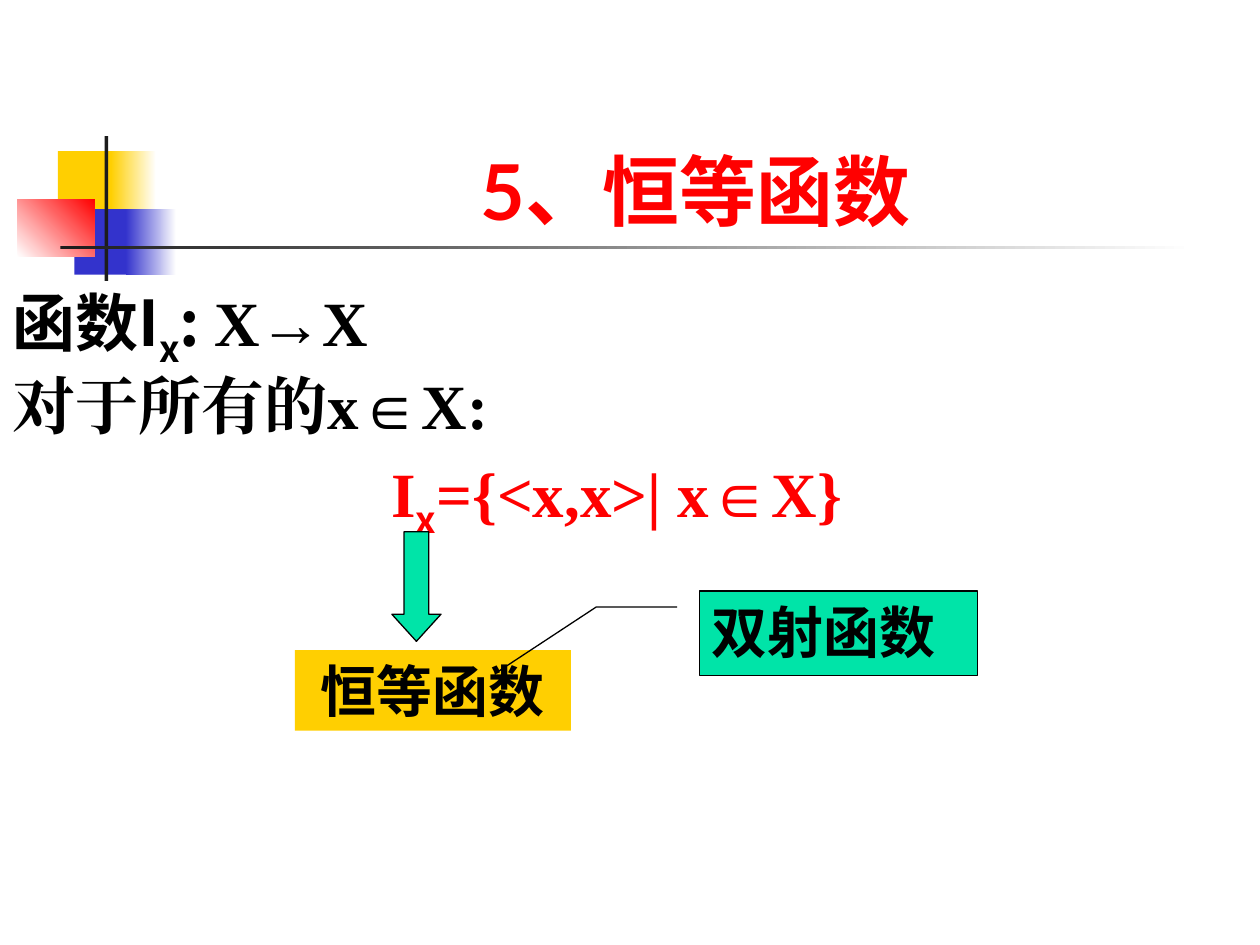
from dataclasses import dataclass
from typing import NamedTuple, Optional

from pptx import Presentation
from pptx.dml.color import RGBColor
from pptx.enum.shapes import MSO_SHAPE as Shape
from pptx.enum.text import MSO_ANCHOR as Anchor, MSO_AUTO_SIZE as AutoSize, PP_ALIGN as Align
from pptx.oxml.ns import qn
from pptx.util import Inches, Pt

COLUMNS, ROWS = 100, 75
CELL = Inches(0.1)


@dataclass(frozen=True)
class Theme:
    red: str = "FF0000"
    yellow: str = "FFCF01"
    blue: str = "3333CC"
    green: str = "00E4A8"
    ink: str = "1C1C1C"
    black: str = "000000"
    white: str = "FFFFFF"
    heading_font: str = "Lato"
    body_font: str = "Noto Sans CJK SC"
    math_font: str = "Times New Roman"
    title_size: int = 44
    body_size: int = 36
    label_size: int = 32


THEME = Theme()


class Area(NamedTuple):
    """Column, row, width and height in grid cells."""
    column: float
    row: float
    columns: float
    rows: float

    def lengths(self) -> list[int]:
        return [round(cells * CELL) for cells in self]


class Piece(NamedTuple):
    area: Area
    start: str
    end: Optional[str] = None
    angle: int = 0


class Run(NamedTuple):
    text: str
    font: str
    subscript: bool = False


class Line(NamedTuple):
    runs: list[Run]
    color: str = THEME.black
    align: Align = Align.LEFT


ORNAMENT = [
    Piece(Area(4.6, 12, 4.8, 5.2), THEME.yellow),
    Piece(Area(8.8, 12, 3.6, 5.2), THEME.yellow, THEME.white),
    Piece(Area(5.9, 16.6, 4.6, 5.2), THEME.blue),
    Piece(Area(10, 16.6, 4, 5.2), THEME.blue, THEME.white),
    Piece(Area(1.4, 15.8, 6.1, 4.6), THEME.white, THEME.red, angle=45),
    Piece(Area(8.3, 10.8, 0.3, 11.5), THEME.ink),
    Piece(Area(4.8, 19.5, 90, 0.3), THEME.ink, THEME.white),
]

TITLE = [Line([Run("5、恒等函数", THEME.heading_font)], THEME.red, Align.CENTER)]
DEFINITION = [
    Line([Run("函数I", THEME.body_font), Run("x", THEME.body_font, True),
          Run(": ", THEME.body_font), Run("X→X", THEME.math_font)]),
    Line([Run("对于所有的x∈X:", THEME.math_font)]),
    Line([Run("I", THEME.math_font), Run("x", THEME.body_font, True),
          Run("={<x,x>| x∈X}", THEME.math_font)], THEME.red, Align.CENTER),
]
IDENTITY = [Line([Run("恒等函数", THEME.heading_font)], align=Align.CENTER)]
BIJECTION = [Line([Run("双射函数", THEME.heading_font)])]


def rgb(color: str) -> RGBColor:
    return RGBColor.from_string(color)


def write(holder, lines: list[Line], *, size: int, anchor=Anchor.TOP,
          spacing: float = 1.0, gap: float = 0, auto_size=AutoSize.NONE) -> None:
    frame = holder.text_frame
    frame.word_wrap = True
    frame.auto_size = auto_size
    frame.vertical_anchor = anchor
    for index, line in enumerate(lines):
        paragraph = frame.add_paragraph() if index else frame.paragraphs[0]
        paragraph.alignment = line.align
        paragraph.line_spacing = spacing
        paragraph.space_before = Pt(gap if index else 0)
        for part in line.runs:
            run = paragraph.add_run()
            run.text = part.text
            font = run.font
            font.name, font.size, font.bold = part.font, Pt(size), True
            font.color.rgb = rgb(line.color)
            properties = run._r.get_or_add_rPr()
            east_asian = properties.makeelement(qn("a:ea"), {"typeface": part.font})
            properties.find(qn("a:latin")).addnext(east_asian)
            if part.subscript:
                properties.set("baseline", "-25000")


def add_figure(slide, kind: Shape, piece: Piece, *, outline: Optional[str] = None,
               adjustments: tuple[float, ...] = ()):
    figure = slide.shapes.add_shape(kind, *piece.area.lengths())
    figure.shadow.inherit = False
    for index, value in enumerate(adjustments):
        figure.adjustments[index] = value
    if piece.end:
        figure.fill.gradient()
        figure.fill.gradient_angle = piece.angle
        for stop, color in zip(figure.fill.gradient_stops, (piece.start, piece.end)):
            stop.color.rgb = rgb(color)
    else:
        figure.fill.solid()
        figure.fill.fore_color.rgb = rgb(piece.start)
    if outline:
        figure.line.color.rgb = rgb(outline)
        figure.line.width = Pt(0.75)
    else:
        figure.line.fill.background()
    return figure


def main() -> None:
    deck = Presentation()
    deck.slide_width, deck.slide_height = COLUMNS * CELL, ROWS * CELL
    slide = deck.slides.add_slide(deck.slide_layouts[6])

    for piece in ORNAMENT:
        add_figure(slide, Shape.RECTANGLE, piece)

    title = slide.shapes.add_textbox(*Area(12.6, 6.7, 85.2, 12.5).lengths())
    write(title, TITLE, size=THEME.title_size, anchor=Anchor.BOTTOM)
    definition = slide.shapes.add_textbox(*Area(0, 22.1, 97.9, 24.1).lengths())
    write(definition, DEFINITION, size=THEME.body_size, spacing=0.9, gap=7.2)

    identity = add_figure(slide, Shape.RECTANGLE,
                          Piece(Area(23.4, 51.6, 21.9, 6.4), THEME.yellow))
    write(identity, IDENTITY, size=THEME.label_size, auto_size=AutoSize.SHAPE_TO_FIT_TEXT)
    add_figure(slide, Shape.DOWN_ARROW, Piece(Area(31.1, 42.2, 3.9, 8.7), THEME.green),
               outline=THEME.black, adjustments=(0.5, 0.55))
    bijection = add_figure(slide, Shape.LINE_CALLOUT_2,
                           Piece(Area(55.5, 46.9, 22.1, 6.7), THEME.green),
                           outline=THEME.black,
                           adjustments=(0.19, -0.08, 0.19, -0.37, 0.95, -0.72))
    write(bijection, BIJECTION, size=THEME.label_size)

    deck.save("out.pptx")


if __name__ == "__main__":
    main()
